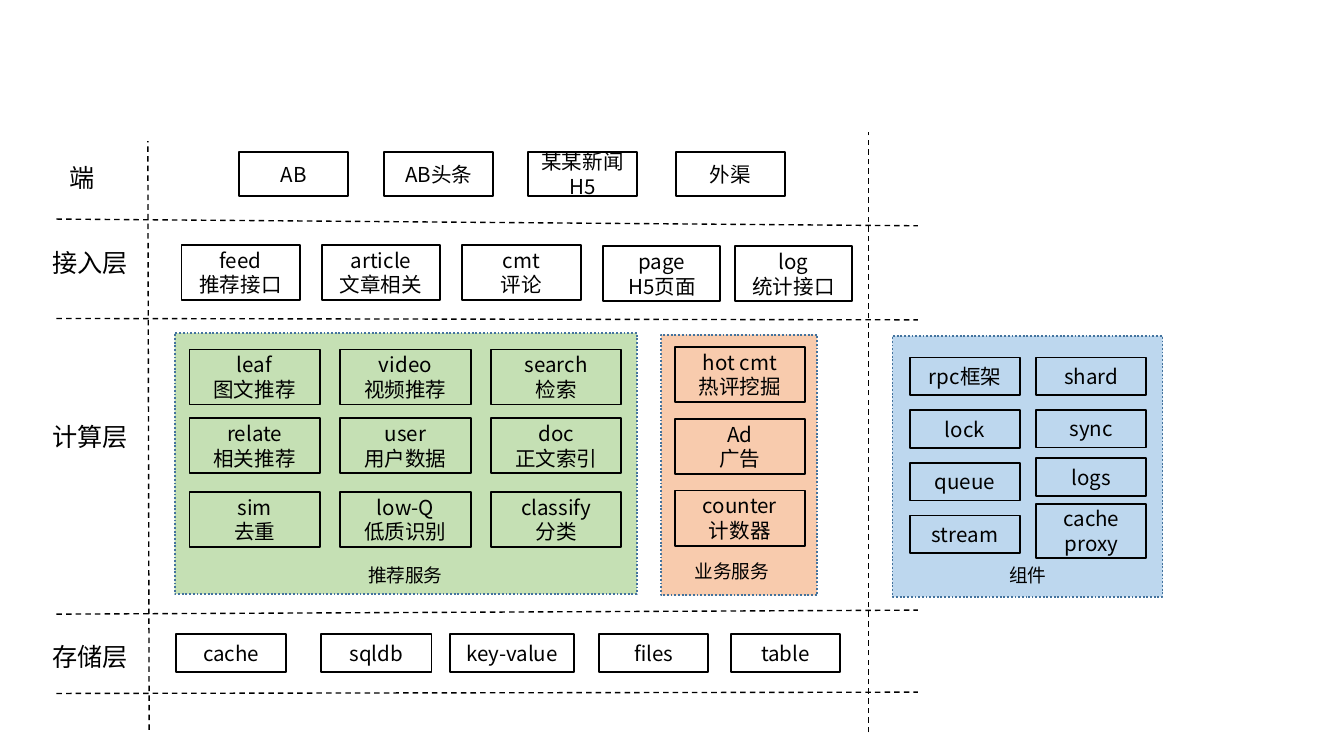
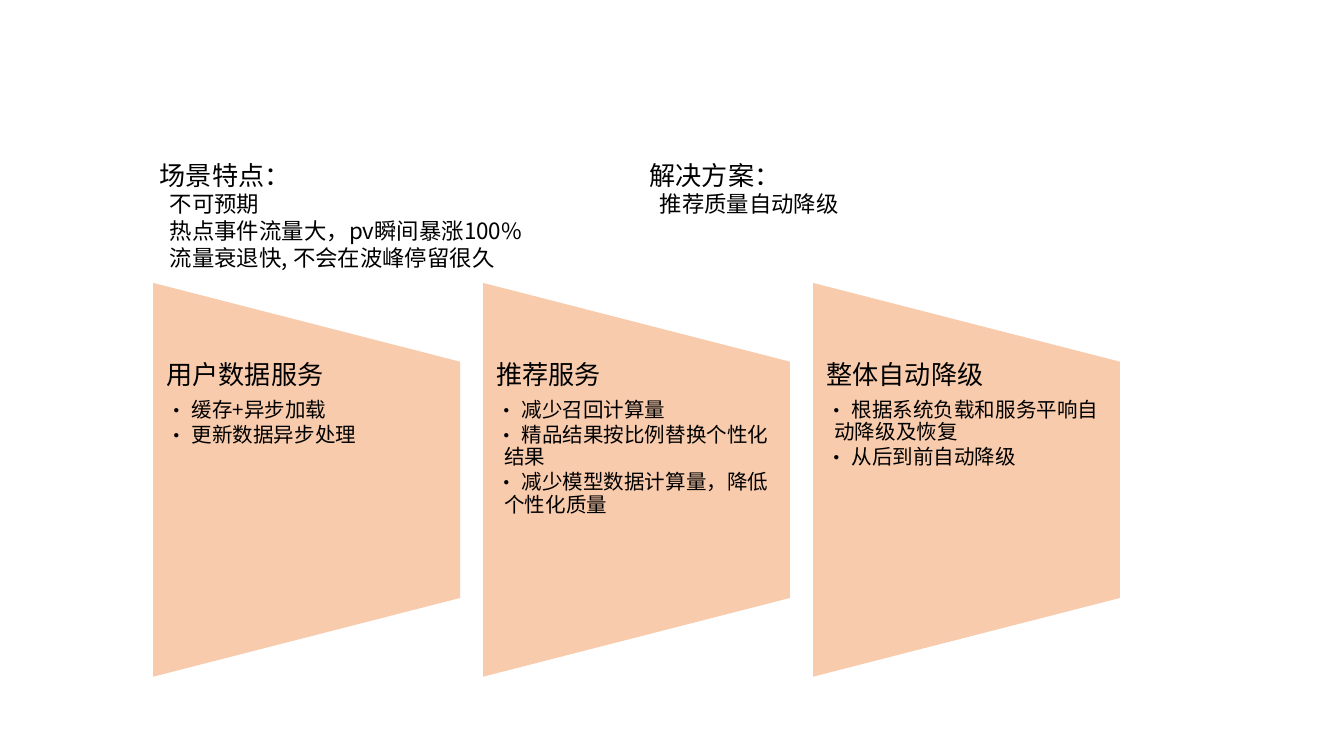
from dataclasses import dataclass
from itertools import product

from lxml import etree
from pptx import Presentation
from pptx.dml.color import RGBColor
from pptx.enum.dml import MSO_LINE
from pptx.enum.shapes import MSO_CONNECTOR, MSO_SHAPE
from pptx.enum.text import MSO_ANCHOR, MSO_AUTO_SIZE, PP_ALIGN
from pptx.oxml.ns import qn
from pptx.util import Inches, Pt

PROCESS = MSO_SHAPE.FLOWCHART_PROCESS
FUNNEL = MSO_SHAPE.FLOWCHART_MANUAL_OPERATION
RECT = MSO_SHAPE.RECTANGLE
DASH, DOT = MSO_LINE.DASH, MSO_LINE.ROUND_DOT
CENTER, MIDDLE = PP_ALIGN.CENTER, MSO_ANCHOR.MIDDLE

FONT = "Noto Sans CJK SC"
COLORS = {
    "ink": "000000",
    "green": "C5E0B4",
    "orange": "F8CBAD",
    "blue": "BDD7EE",
    "border": "43739E",
}

prs = Presentation()
prs.slide_width = Inches(10)
prs.slide_height = prs.slide_width * 9 // 16
UNIT = prs.slide_width / 100  # grid step: 100 columns across, rows equally tall


@dataclass
class Grid:
    """Equal boxes, listed row by row; a newline splits paragraphs."""
    texts: list[str]
    lefts: list[float]
    tops: list[float]
    width: float
    height: float


@dataclass
class Panel:
    """A tinted area with a caption and the boxes on it."""
    color: str
    area: tuple[float, float, float, float]
    caption: str
    caption_at: tuple[float, float, float, float]
    grids: list[Grid]


@dataclass
class Card:
    """A funnel with a heading and bullets."""
    heading: str
    bullets: list[str]


def u(*steps: float) -> list[int]:
    """Turn grid steps into EMU."""
    return [round(n * UNIT) for n in steps]


def steps(start: float, pitch: float, count: int) -> list[float]:
    """List equally spaced grid positions."""
    return [start + i * pitch for i in range(count)]


def rgb(name: str) -> RGBColor:
    """Look up a colour."""
    return RGBColor.from_string(COLORS[name])


def style(p, size: float) -> None:
    """Set the font of a paragraph, for Latin and East Asian text."""
    p.font.size, p.font.name = Pt(size), FONT
    p.font.color.rgb = rgb("ink")
    def_rpr = p._p.pPr.find(qn("a:defRPr"))
    etree.SubElement(def_rpr, qn("a:ea")).set("typeface", FONT)


def indent(p, left: float, first: float = 0, bullet: str = "") -> None:
    """Indent a styled paragraph, with an optional bullet."""
    pPr = p._p.get_or_add_pPr()
    pPr.set("marL", str(u(left)[0]))
    pPr.set("indent", str(u(first)[0]))
    if bullet:
        def_rpr = pPr.find(qn("a:defRPr"))
        for tag, key, value in (("a:buFont", "typeface", FONT), ("a:buChar", "char", bullet)):
            mark = etree.Element(qn(tag))
            mark.set(key, value)
            def_rpr.addprevious(mark)


def write(tf, lines: list[str], size: float) -> list:
    """Fill a text frame, one paragraph a line."""
    tf.word_wrap = True
    tf.text = "\n".join(lines)
    for p in tf.paragraphs:
        style(p, size)
    return list(tf.paragraphs)


def add_text(shapes, at: tuple, lines: list[str], size: float, grow: bool = True):
    """Add a text box and return its text frame."""
    tf = shapes.add_textbox(*u(*at)).text_frame
    write(tf, lines, size)
    if grow:
        tf.auto_size = MSO_AUTO_SIZE.SHAPE_TO_FIT_TEXT
    return tf


def add_shape(shapes, kind, at: tuple, fill: str = "", line: str = ""):
    """Add a flat preset shape."""
    sp = shapes.add_shape(kind, *u(*at))
    sp.shadow.inherit = False
    if fill:
        sp.fill.solid()
        sp.fill.fore_color.rgb = rgb(fill)
    else:
        sp.fill.background()
    if line:
        sp.line.color.rgb, sp.line.width = rgb(line), Pt(1)
    else:
        sp.line.fill.background()
    return sp


def add_grid(shapes, grid: Grid) -> None:
    """Draw the outlined boxes of a grid."""
    for text, (top, left) in zip(grid.texts, product(grid.tops, grid.lefts)):
        sp = add_shape(shapes, PROCESS, (left, top, grid.width, grid.height), line="ink")
        sp.text_frame.vertical_anchor = MIDDLE
        for p in write(sp.text_frame, text.split("\n"), 11):
            p.alignment = CENTER


def add_panel(s, panel: Panel) -> None:
    """Draw a panel as one group."""
    shapes = s.shapes.add_group_shape().shapes
    area = add_shape(shapes, RECT, panel.area, panel.color, "border")
    area.line.dash_style = DOT
    for grid in panel.grids:
        add_grid(shapes, grid)
    add_text(shapes, panel.caption_at, [panel.caption], 10)


def add_divider(s, x1: float, y1: float, x2: float, y2: float) -> None:
    """Draw a dashed line."""
    ln = s.shapes.add_connector(MSO_CONNECTOR.STRAIGHT, *u(x1, y1, x2, y2))
    ln.line.color.rgb, ln.line.width = rgb("ink"), Pt(0.75)
    ln.line.dash_style = DASH
    etree.SubElement(ln._element.spPr, qn("a:effectLst"))


def add_note(s, left: float, height: float, heading: str, lines: list[str]) -> None:
    """Write a heading with indented lines below."""
    tf = add_text(s.shapes, (left, 11.35, 33.5, height), [heading, *lines], 12)
    first, *rest = tf.paragraphs
    first.font.size = Pt(14)
    for p in rest:
        indent(p, 0.75)


def add_card(s, left: float, card: Card) -> None:
    """Draw a funnel lying on its side, with its text."""
    shapes = s.shapes.add_group_shape().shapes
    width, length, middle = 22.83, 29.3, 35.7
    at = (left + (width - length) / 2, middle - width / 2, length, width)
    add_shape(shapes, FUNNEL, at, "orange").rotation = 270
    lines = [card.heading] + [f" {b}" for b in card.bullets]
    tf = add_text(shapes, (left, 26.95, width, 17.6), lines, 11, grow=False)
    tf.margin_top = tf.margin_bottom = 0
    tf.margin_right = Inches(0.08)
    first, *rest = tf.paragraphs
    first.font.size, first.space_after, first.line_spacing = Pt(14), Pt(4.9), 0.9
    for p in rest:
        p.line_spacing, p.space_after = 0.9, Pt(1.65)
        indent(p, 0.6, -0.6, "•")


LAYERS = [("端", 4.2, 10.5), ("接入层", 2.9, 16.8),
          ("计算层", 2.9, 29.7), ("存储层", 2.9, 46.1)]
DIVIDERS = [
    (4.2, 16.3, 68.3, 16.8), (4.2, 23.7, 68.3, 23.8),
    (4.2, 45.7, 68.3, 45.4), (4.2, 51.6, 68.3, 51.5),
    (11.1, 54.3, 11, 10.5), (64.6, 54.5, 64.6, 9.8),
]
LAYER_GRIDS = [
    Grid(["AB", "AB头条", "某某新闻H5", "外渠"], [17.8, 28.6, 39.3, 50.3], [11.3], 8.1, 3.3),
    Grid(["feed\n推荐接口", "article\n文章相关", "cmt\n评论"],
         steps(13.5, 10.45, 3), [18.2], 8.8, 4.1),
    Grid(["page\nH5页面", "log\n统计接口"], [44.9, 54.7], [18.3], 8.7, 4.1),
    Grid(["cache", "sqldb"], [13.1, 23.9], [47.2], 8.2, 2.8),
    Grid(["key-value"], [33.5], [47.2], 9.2, 2.8),
    Grid(["files", "table"], [44.6, 54.4], [47.2], 8.1, 2.8),
]
PANELS = [
    Panel("green", (13, 24.8, 34.4, 19.4), "推荐服务", (26.4, 41.5, 10.3, 2.7), [
        Grid(["leaf\n图文推荐", "video\n视频推荐", "search\n检索",
              "relate\n相关推荐", "user\n用户数据", "doc\n正文索引",
              "sim\n去重", "low-Q\n低质识别", "classify\n分类"],
             steps(14.1, 11.22, 3), [26, 31.1, 36.6], 9.7, 4.1)]),
    Panel("orange", (49.2, 24.9, 11.6, 19.4), "业务服务", (50.7, 41.2, 9, 2.7), [
        Grid(["hot cmt\n热评挖掘", "Ad\n广告", "counter\n计数器"],
             [50.2], steps(25.8, 5.35, 3), 9.7, 4.1)]),
    Panel("blue", (66.4, 25, 20.1, 19.4), "组件", (74.1, 41.5, 9, 2.7), [
        Grid(["rpc框架", "lock", "queue", "stream"],
             [67.7], steps(26.6, 3.92, 4), 8.2, 2.8),
        Grid(["shard", "sync", "logs"], [77.1], [26.6, 30.5, 34.1], 8.2, 2.8),
        Grid(["cache\nproxy"], [77.1], [37.5], 8.2, 4)]),
]
CARDS = [
    Card("用户数据服务", ["缓存+异步加载", "更新数据异步处理"]),
    Card("推荐服务", ["减少召回计算量", "精品结果按比例替换个性化结果",
                  "减少模型数据计算量，降低个性化质量"]),
    Card("整体自动降级", ["根据系统负载和服务平响自动降级及恢复", "从后到前自动降级"]),
]


def build_architecture() -> None:
    """Build the slide with the layers of the system."""
    s = prs.slides.add_slide(prs.slide_layouts[6])
    for name, left, top in LAYERS:
        tf = add_text(s.shapes, (left, top, 11.2, 5.5), [name], 13.5)
        tf.paragraphs[0].line_spacing = 1.5
    for ends in DIVIDERS:
        add_divider(s, *ends)
    for grid in LAYER_GRIDS:
        add_grid(s.shapes, grid)
    for panel in PANELS:
        add_panel(s, panel)


def build_degradation() -> None:
    """Build the slide on degrading service under load."""
    s = prs.slides.add_slide(prs.slide_layouts[6])
    for left, card in zip(steps(11.4, 24.55, 3), CARDS):
        add_card(s, left, card)
    add_note(s, 10.9, 11.4, "场景特点：",
             ["不可预期", "热点事件流量大，pv瞬间暴涨100%", "流量衰退快, 不会在波峰停留很久"])
    add_note(s, 47.35, 5.4, "解决方案：", ["推荐质量自动降级"])


build_architecture()
build_degradation()
prs.save("out.pptx")
